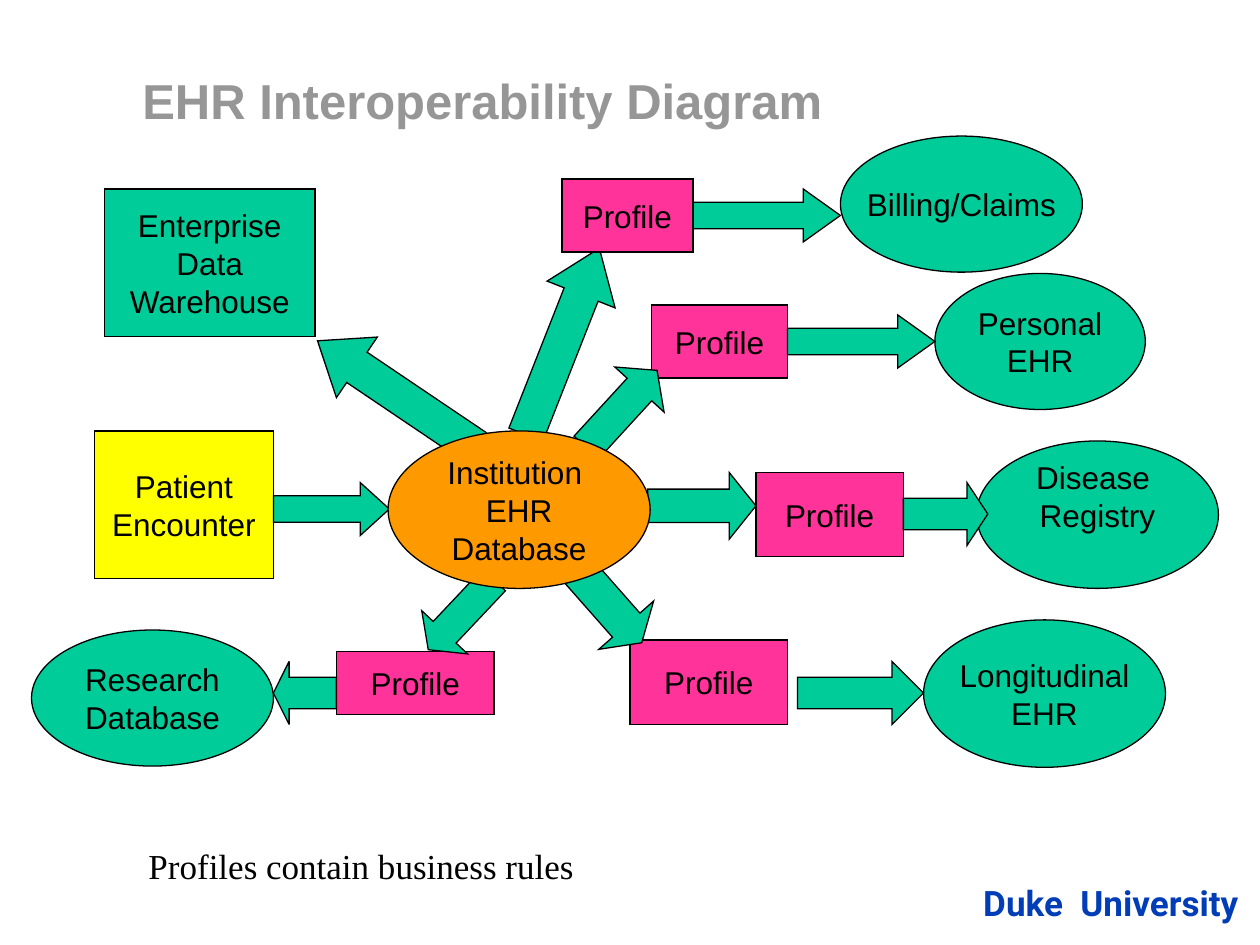
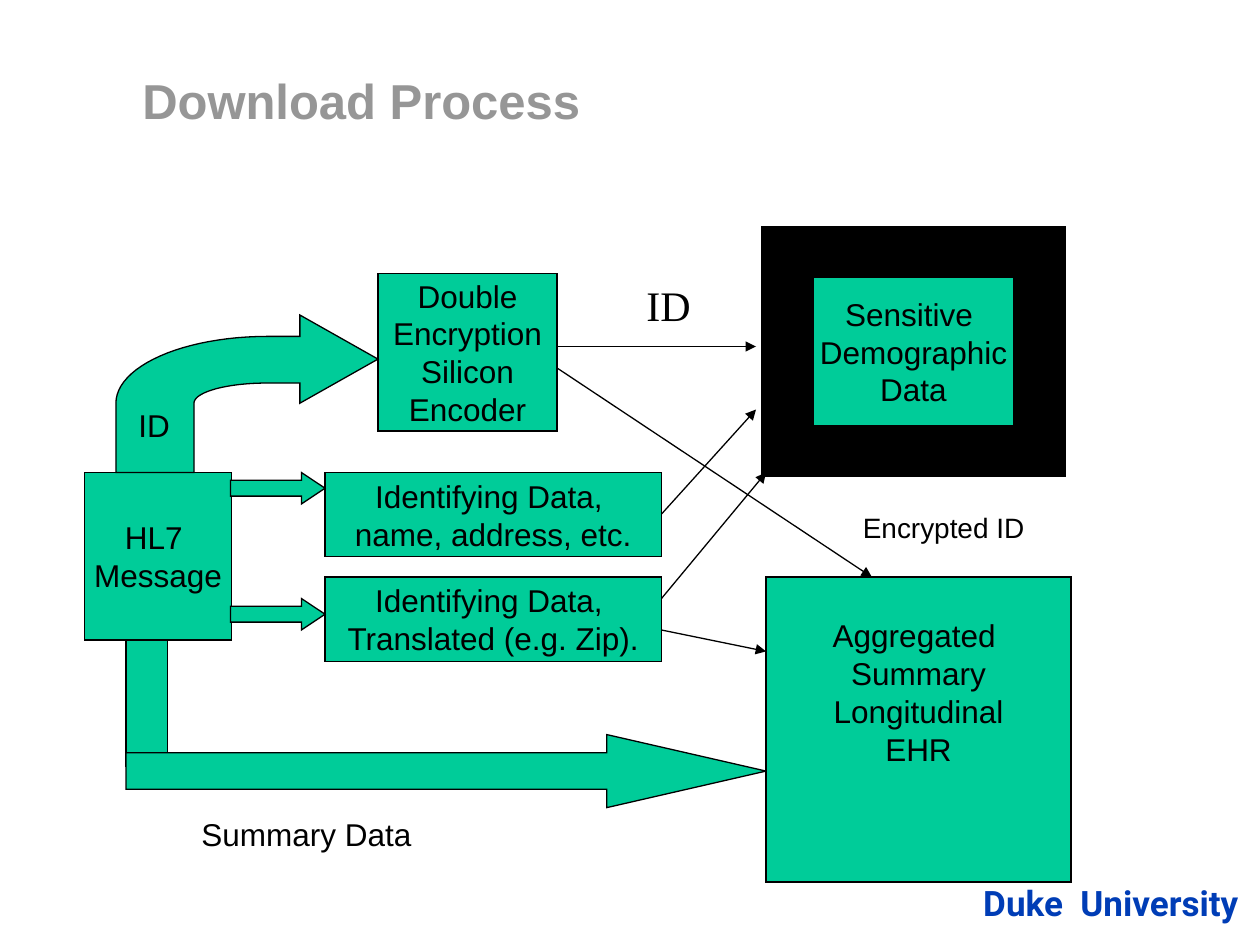
from math import cos, pi, sin

from lxml import etree
from pptx import Presentation
from pptx.dml.color import RGBColor
from pptx.enum.shapes import MSO_CONNECTOR, MSO_SHAPE
from pptx.enum.text import MSO_ANCHOR, PP_ALIGN
from pptx.oxml.ns import qn
from pptx.util import Inches, Pt

RECT, OVAL = MSO_SHAPE.RECTANGLE, MSO_SHAPE.OVAL
RIGHT_ARROW, LEFT_ARROW = MSO_SHAPE.RIGHT_ARROW, MSO_SHAPE.LEFT_ARROW
STRAIGHT = MSO_CONNECTOR.STRAIGHT
TOP, MIDDLE, BOTTOM = MSO_ANCHOR.TOP, MSO_ANCHOR.MIDDLE, MSO_ANCHOR.BOTTOM
LEFT, CENTER, RIGHT = PP_ALIGN.LEFT, PP_ALIGN.CENTER, PP_ALIGN.RIGHT

SANS, SERIF, BRAND = "Arial", "Times New Roman", "Roboto"
BLACK, GRAY, BLUE = "000000", "969696", "003DB6"
GREEN, PINK, YELLOW, ORANGE = "00CC99", "FF3399", "FFFF00", "FF9900"
LINE_HEIGHT = 0.3

FOOTER = "Duke  University"

DIAGRAM = {
    "title": "EHR Interoperability Diagram",
    "nodes": [
        (RECT, (0.75, 3.42, 1.42, 1.17), "Patient\nEncounter", YELLOW),
        (RECT, (0.83, 1.5, 1.67, 1.17), "Enterprise\nData\nWarehouse", GREEN),
        (OVAL, (0.25, 5, 1.92, 1.08), "Research\nDatabase", GREEN),
        (OVAL, (6.67, 1.08, 1.92, 1.08), "Billing/Claims", GREEN),
        (OVAL, (7.42, 2.17, 1.67, 1.08), "Personal\nEHR", GREEN),
        (OVAL, (7.75, 3.5, 1.92, 1.17), "Disease \nRegistry", GREEN, {"lift": 1}),
        (OVAL, (7.33, 4.92, 1.92, 1.17), "Longitudinal\nEHR", GREEN),
        (RECT, (5.17, 2.42, 1.08, 0.58), "Profile", PINK),
        (RECT, (6, 3.75, 1.17, 0.67), "Profile", PINK),
        (RECT, (5, 5.08, 1.25, 0.67), "Profile", PINK),
        (RECT, (2.67, 5.17, 1.25, 0.5), "Profile", PINK),
    ],
    "arrows": [
        (RIGHT_ARROW, (2.17, 3.83, 0.92, 0.42), 0.55, 0),
        (LEFT_ARROW, (2.39, 2.84, 1.52, 0.58), 0.65, 34),
        (LEFT_ARROW, (3.67, 2.42, 1.59, 0.58), 0.68, 111.5),
        (RIGHT_ARROW, (4.52, 2.98, 0.83, 0.53), 0.39, 312.5),
        (RIGHT_ARROW, (5.14, 3.75, 0.86, 0.53), 0.4, 0),
        (RIGHT_ARROW, (4.47, 4.53, 0.75, 0.58), 0.32, 48.6),
        (LEFT_ARROW, (3.28, 4.63, 0.76, 0.5), 0.38, 313.3),
        (LEFT_ARROW, (2.17, 5.25, 0.5, 0.5), 0.25, 0),
        (RIGHT_ARROW, (5.5, 1.5, 1.17, 0.42), 0.7, 0),
        (RIGHT_ARROW, (6.25, 2.5, 1.17, 0.42), 0.7, 0),
        (RIGHT_ARROW, (7.17, 3.83, 0.67, 0.5), 0.33, 0),
        (RIGHT_ARROW, (6.33, 5.25, 1, 0.5), 0.5, 0),
    ],
    "front_nodes": [
        (RECT, (4.46, 1.42, 1.04, 0.58), "Profile", PINK),
        (OVAL, (3.08, 3.42, 2.08, 1.25), "Institution \nEHR\nDatabase", ORANGE),
    ],
    "lines": [],
    "labels": [
        ("Profiles contain business rules", (1.08, 6.65, 5.33, 0.44),
         {"size": 20, "font": SERIF}),
    ],
}

DOWNLOAD = {
    "title": "Download Process",
    "nodes": [
        (RECT, (0.67, 3.75, 1.17, 1.33), "HL7 \nMessage", GREEN),
        (RECT, (3, 2.17, 1.42, 1.25), "Double\nEncryption\nSilicon\nEncoder", GREEN),
        (RECT, (6.25, 2, 2, 1.58), "Sensitive \nDemographic\nData", GREEN, {"border": 30}),
        (RECT, (2.58, 3.75, 2.67, 0.67), "Identifying Data, \nname, address, etc.", GREEN),
        (RECT, (2.58, 4.58, 2.67, 0.67), "Identifying Data, \nTranslated (e.g. Zip).", GREEN),
        (RECT, (6.08, 4.58, 2.42, 2.42), "Aggregated \nSummary\nLongitudinal\nEHR", GREEN,
         {"lift": 2}),
        (RECT, (1, 5.08, 0.33, 1), "", GREEN),
    ],
    "arrows": [
        (RIGHT_ARROW, (1.83, 3.75, 0.75, 0.25), 0.75, 0),
        (RIGHT_ARROW, (1.83, 4.75, 0.75, 0.25), 0.75, 0),
        (RIGHT_ARROW, (1, 5.83, 5.08, 0.58), 2.18, 0),
    ],
    "front_nodes": [],
    "lines": [
        ((4.42, 2.75), (6, 2.75)),
        ((5.25, 4.08), (6, 3.25)),
        ((5.25, 4.75), (6.08, 3.75)),
        ((5.25, 5), (6.08, 5.17)),
        ((4.42, 2.92), (6.92, 4.58)),
    ],
    "labels": [
        ("ID", (1, 3.17, 0.5, 0.4), {}),
        ("Encrypted ID", (6.75, 4, 1.58, 0.37), {"size": 16}),
        ("Summary Data", (1.5, 6.42, 2.83, 0.4), {}),
        ("ID", (5, 2.17, 0.58, 0.5), {"size": 24, "font": SERIF, "align": RIGHT}),
    ],
}


def rgb(value):
    return RGBColor.from_string(value)


def inches(values):
    return [Inches(value) for value in values]


def write(shape, text, size=18, font=SANS, color=BLACK, bold=False, align=LEFT,
          anchor=TOP, wrap=True, insets=(0.1, 0.05, 0.1, 0.05), spacing=None):
    frame = shape.text_frame
    frame.word_wrap = wrap
    frame.vertical_anchor = anchor
    (frame.margin_left, frame.margin_top,
     frame.margin_right, frame.margin_bottom) = inches(insets)
    para = frame.paragraphs[0]
    para.text = text
    para.alignment = align
    para.line_spacing = spacing
    for span in para.runs:
        span.font.size = Pt(size)
        span.font.name = font
        span.font.bold = bold
        span.font.color.rgb = rgb(color)


def add_label(page, text, at, **style):
    write(page.shapes.add_textbox(*inches(at)), text, **style)


def paint(shape, fill=GREEN, border=0.75):
    shape.shadow.inherit = False
    shape.fill.solid()
    shape.fill.fore_color.rgb = rgb(fill)
    shape.line.color.rgb = rgb(BLACK)
    shape.line.width = Pt(border)
    etree.SubElement(shape.line._get_or_add_ln(), qn("a:miter"), lim="800000")


def add_node(page, kind, at, text, fill, options=None):
    options = options or {}
    node = page.shapes.add_shape(kind, *inches(at))
    paint(node, fill, options.get("border", 0.75))
    if text:
        bottom = 0.05 + LINE_HEIGHT * options.get("lift", 0)
        write(node, text, align=CENTER, anchor=MIDDLE, wrap=False,
              insets=(0.1, 0.05, 0.1, bottom))


def add_arrow(page, kind, at, head, angle):
    arrow = page.shapes.add_shape(kind, *inches(at))
    arrow.adjustments[0] = 0.5
    arrow.adjustments[1] = head
    arrow.rotation = angle
    paint(arrow)


def add_line(page, start, end):
    line = page.shapes.add_connector(STRAIGHT, *inches(start + end))
    line.line.color.rgb = rgb(BLACK)
    line.line.width = Pt(0.75)
    etree.SubElement(line.line._get_or_add_ln(), qn("a:tailEnd"), type="triangle")
    etree.SubElement(line._element.spPr, qn("a:effectLst"))


def quarter_arc(center, radii, steps=24):
    angles = [pi / 2 * step / steps for step in range(steps + 1)]
    return [(center[0] - radii[0] * sin(angle), center[1] - radii[1] * cos(angle))
            for angle in angles]


def add_curved_arrow(page):
    center = (2.12, 3.2)
    outer = quarter_arc(center, (1.2, 0.53))
    inner = quarter_arc(center, (0.58, 0.16))[::-1]
    outline = [(3, 2.85), (2.38, 2.5), (2.38, 2.67), *outer, (0.92, 3.75),
               (1.54, 3.75), *inner, (2.38, 3.04), (2.38, 3.2)]
    points = [inches(point) for point in outline]
    builder = page.shapes.build_freeform(*points[0])
    builder.add_line_segments(points[1:], close=True)
    paint(builder.convert_to_shape())


def add_page(deck, content):
    page = deck.slides.add_slide(deck.slide_layouts[6])
    add_label(page, FOOTER, (6.75, 7, 3.08, 0.33), size=20, font=BRAND, color=BLUE,
              bold=True, align=RIGHT, insets=(0, 0, 0, 0))
    add_label(page, content["title"], (1.08, 0.17, 8.31, 0.91), size=28, color=GRAY,
              bold=True, anchor=BOTTOM, insets=(0.05,) * 4, spacing=0.85)
    for node in content["nodes"]:
        add_node(page, *node)
    for arrow in content["arrows"]:
        add_arrow(page, *arrow)
    for node in content["front_nodes"]:
        add_node(page, *node)
    for start, end in content["lines"]:
        add_line(page, start, end)
    if content is DOWNLOAD:
        add_curved_arrow(page)
    for text, at, style in content["labels"]:
        add_label(page, text, at, **style)


def main():
    deck = Presentation()
    deck.slide_width, deck.slide_height = Inches(10), Inches(7.5)
    for content in (DIAGRAM, DOWNLOAD):
        add_page(deck, content)
    deck.save("out.pptx")


if __name__ == "__main__":
    main()
